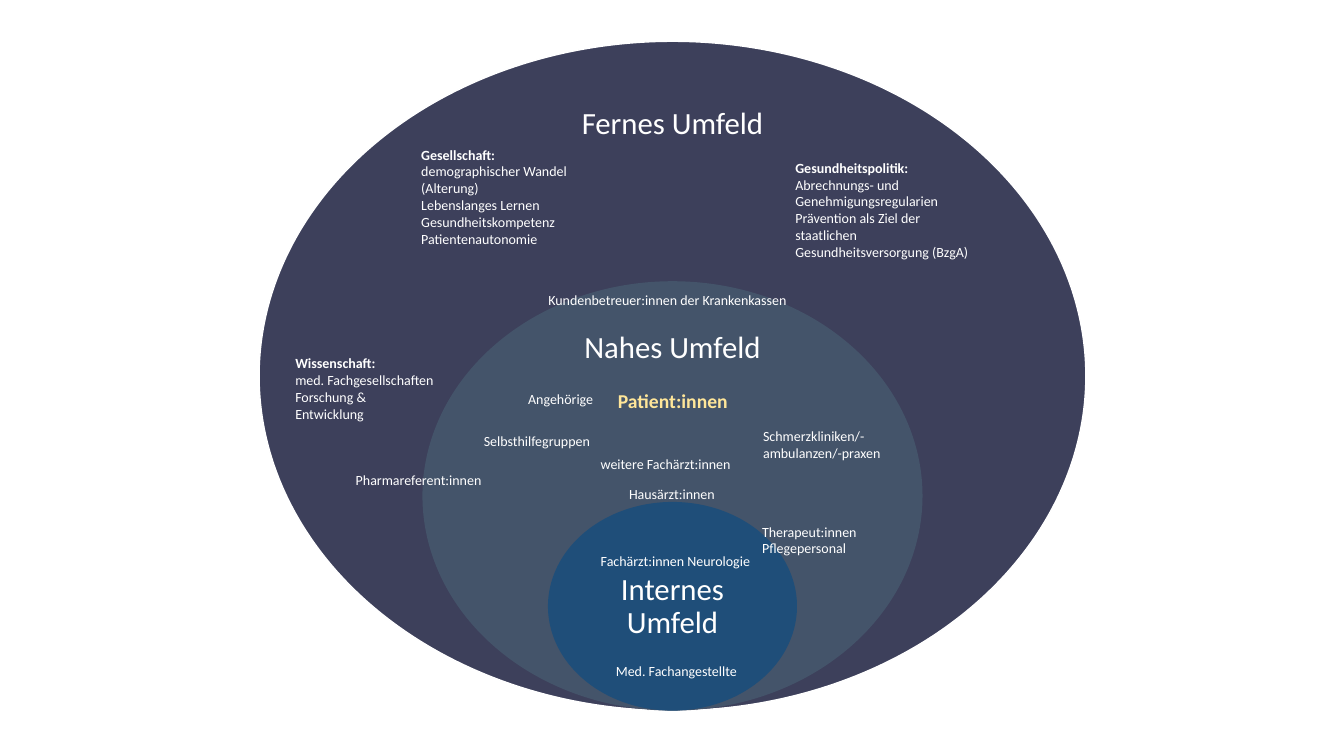
"""Build a slide of three nested stakeholder environments."""
from typing import NamedTuple

from pptx import Presentation
from pptx.dml.color import RGBColor
from pptx.enum.shapes import MSO_SHAPE
from pptx.enum.text import MSO_ANCHOR, MSO_AUTO_SIZE, PP_ALIGN
from pptx.slide import Slide
from pptx.text.text import TextFrame
from pptx.util import Inches, Pt

COLORS = {
    "far": "3D405B",
    "near": "44546A",
    "internal": "1F4E79",
    "text": "FFFFFF",
    "patients": "FFE699",
}
FONT = "Calibri"
CENTER_X = 6.67
RINGS_BOTTOM = 7.05


class Ring(NamedTuple):
    """An environment ellipse and the box of its heading."""
    heading: str
    color: str
    width: float
    height: float
    heading_top: float
    heading_width: float
    heading_height: float
    outlined: bool = False


class Stakeholder(NamedTuple):
    """A text label with an optional bold heading line."""
    left: float
    top: float
    width: float
    height: float
    lines: tuple[str, ...]
    heading: str = ""
    size: int = 10
    color: str = "text"


RINGS = (
    Ring("Fernes Umfeld", "far", 8.2, 6.64, 0.74, 2.87, 1, outlined=True),
    Ring("Nahes Umfeld", "near", 4.96, 4.26, 3.06, 2.31, 0.8),
    Ring("Internes Umfeld", "internal", 2.47, 2.07, 5.5, 1.74, 1.04),
)

STAKEHOLDERS = (
    Stakeholder(5.86, 5.43, 1.98, 0.27, ("Fachärzt:innen Neurologie",)),
    Stakeholder(6.01, 6.52, 1.78, 0.27, ("Med. Fachangestellte",)),
    Stakeholder(7.46, 5.14, 1.45, 0.44, ("Therapeut:innen", "Pflegepersonal")),
    Stakeholder(6.03, 3.81, 1.45, 0.34, (), "Patient:innen", 14, "patients"),
    Stakeholder(4.7, 4.24, 1.58, 0.27, ("Selbsthilfegruppen",)),
    Stakeholder(5.14, 3.83, 1.45, 0.27, ("Angehörige",)),
    Stakeholder(5.86, 4.47, 1.77, 0.27, ("weitere Fachärzt:innen",)),
    Stakeholder(7.47, 4.19, 1.62, 0.44, ("Schmerzkliniken/-ambulanzen/-praxen",)),
    Stakeholder(6.14, 4.77, 1.45, 0.27, ("Hausärzt:innen",)),
    Stakeholder(3.43, 4.63, 1.68, 0.27, ("Pharmareferent:innen",)),
    Stakeholder(4.08, 1.4, 2.07, 1.11, (
        "demographischer Wandel (Alterung)",
        "Lebenslanges Lernen",
        "Gesundheitskompetenz",
        "Patientenautonomie",
    ), "Gesellschaft:"),
    Stakeholder(7.79, 1.53, 1.99, 1.11, (
        "Abrechnungs- und Genehmigungsregularien",
        "Prävention als Ziel der staatlichen Gesundheitsversorgung (BzgA)",
    ), "Gesundheitspolitik:"),
    Stakeholder(5.34, 2.84, 2.65, 0.27, ("Kundenbetreuer:innen der Krankenkassen",)),
    Stakeholder(2.83, 3.47, 1.81, 0.77, (
        "med. Fachgesellschaften",
        "Forschung &",
        "Entwicklung",
    ), "Wissenschaft:"),
)


def rgb(name: str) -> RGBColor:
    """Look up a named colour."""
    return RGBColor.from_string(COLORS[name])


def add_text_frame(slide: Slide, left: float, top: float,
                   width: float, height: float) -> TextFrame:
    """Add a wrapping text box and return its frame."""
    frame = slide.shapes.add_textbox(
        Inches(left), Inches(top), Inches(width), Inches(height)).text_frame
    frame.word_wrap = True
    return frame


def write_line(frame: TextFrame, index: int, text: str, size: int,
               color: str = "text", bold: bool = False) -> None:
    """Write one paragraph, reusing the first one of the frame."""
    paragraph = frame.add_paragraph() if index else frame.paragraphs[0]
    run = paragraph.add_run()
    run.text = text
    run.font.name = FONT
    run.font.size = Pt(size)
    run.font.bold = bold
    run.font.color.rgb = rgb(color)


def draw_ring(slide: Slide, ring: Ring) -> None:
    """Draw an environment ellipse with its centred heading."""
    ellipse = slide.shapes.add_shape(
        MSO_SHAPE.OVAL,
        Inches(CENTER_X - ring.width / 2), Inches(RINGS_BOTTOM - ring.height),
        Inches(ring.width), Inches(ring.height))
    ellipse.shadow.inherit = False
    ellipse.fill.solid()
    ellipse.fill.fore_color.rgb = rgb(ring.color)
    if ring.outlined:
        ellipse.line.color.rgb = rgb("text")
        ellipse.line.width = Pt(1)
    else:
        ellipse.line.fill.background()

    frame = add_text_frame(slide, CENTER_X - ring.heading_width / 2,
                           ring.heading_top, ring.heading_width, ring.heading_height)
    frame.margin_left = frame.margin_right = Inches(0.17)
    frame.margin_top = frame.margin_bottom = Inches(0.17)
    frame.vertical_anchor = MSO_ANCHOR.MIDDLE
    write_line(frame, 0, ring.heading, 22)
    frame.paragraphs[0].alignment = PP_ALIGN.CENTER
    frame.paragraphs[0].line_spacing = 0.9


def draw_stakeholder(slide: Slide, label: Stakeholder) -> None:
    """Draw a stakeholder label, its heading line in bold."""
    frame = add_text_frame(slide, label.left, label.top, label.width, label.height)
    frame.auto_size = MSO_AUTO_SIZE.SHAPE_TO_FIT_TEXT
    headings = (label.heading,) if label.heading else ()
    for index, line in enumerate(headings + label.lines):
        write_line(frame, index, line, label.size, label.color,
                   bold=index < len(headings))


def main() -> None:
    """Create and save the presentation."""
    presentation = Presentation()
    presentation.slide_width = Inches(13.33)
    presentation.slide_height = Inches(7.5)
    slide = presentation.slides.add_slide(presentation.slide_layouts[6])
    for ring in RINGS:
        draw_ring(slide, ring)
    for label in STAKEHOLDERS:
        draw_stakeholder(slide, label)
    presentation.save("out.pptx")


main()
